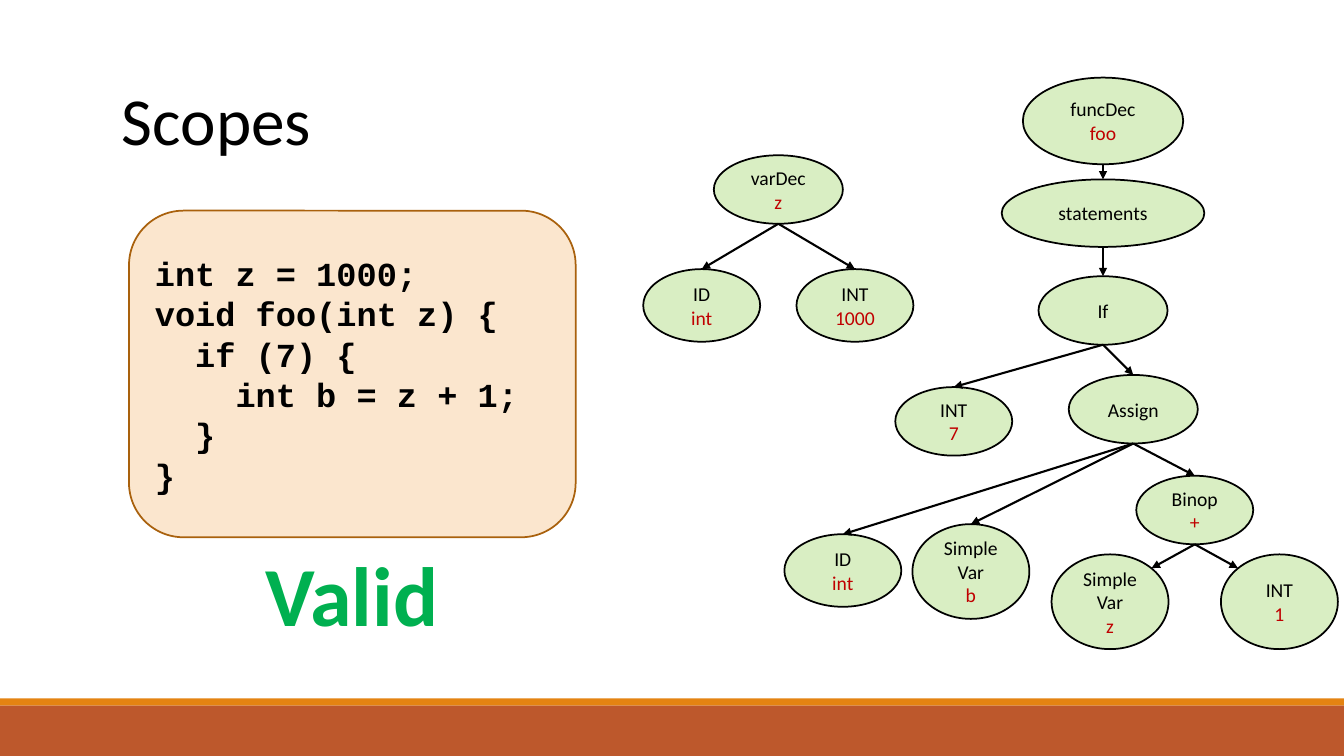
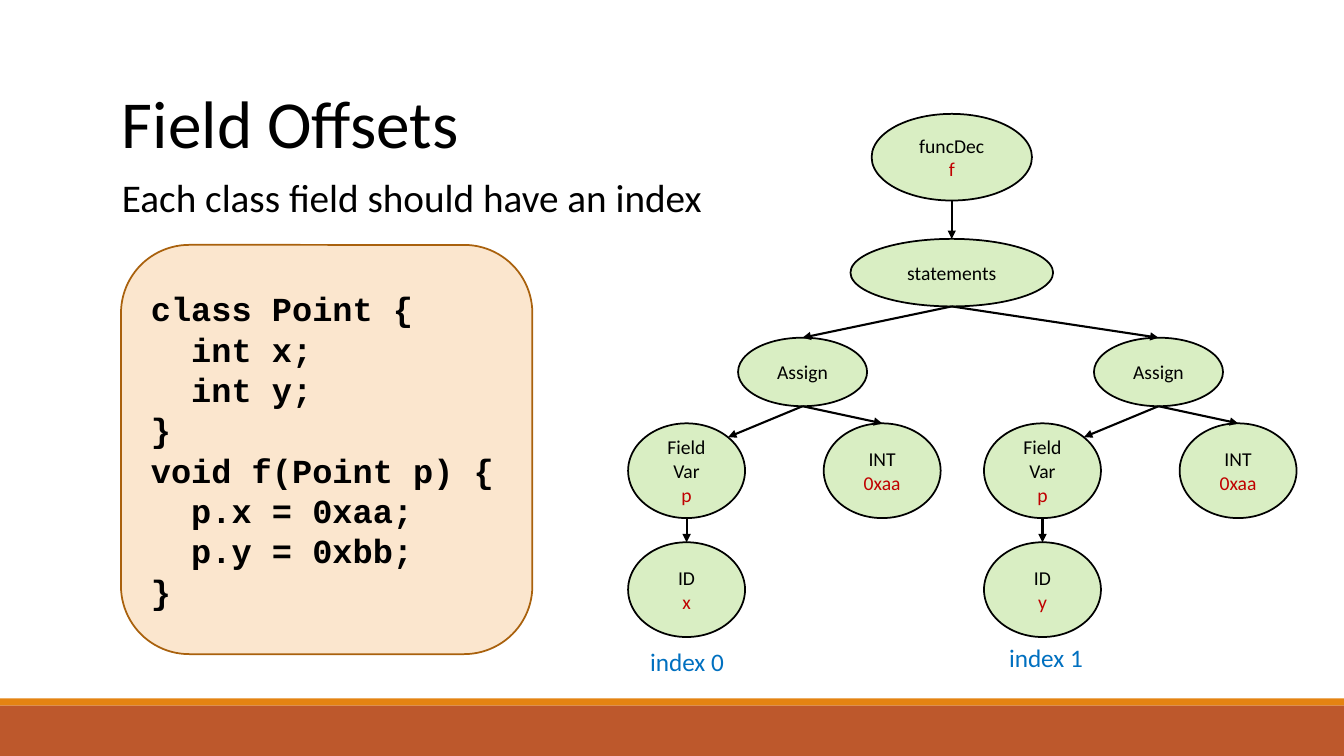
from dataclasses import dataclass

from lxml import etree
from pptx import Presentation
from pptx import util as u
from pptx.dml.color import RGBColor
from pptx.enum import shapes, text
from pptx.oxml.ns import qn

I = u.Inches
SHAPE = shapes.MSO_SHAPE
ALIGN = text.PP_ALIGN
ANCHOR = text.MSO_ANCHOR


@dataclass(frozen=True)
class Theme:
    ink: str = "000000"
    value: str = "C00000"
    node: str = "92D050"
    node_alpha: int = 34
    code_fill: str = "FBE6CE"
    code_line: str = "A9610D"
    valid: str = "00B050"
    index: str = "0070C0"
    band: str = "BD582C"
    stripe: str = "E48312"
    font: str = "Calibri"
    mono: str = "Courier New"
    title_pt: int = 48
    verdict_pt: int = 60
    body_pt: int = 28
    code_pt: int = 24
    index_pt: int = 18
    node_pt: int = 14
    outline_pt: float = 1.25
    arrow_pt: float = 1.5


T = Theme()

# Node sizes by kind: width, height
SIZES = {
    "root": (1.59, 0.86), "wide": (2.01, 0.67), "mid": (1.28, 0.68),
    "leaf": (1.16, 0.68), "type": (1.16, 0.72), "tall": (1.16, 0.94),
}
# Connection sites of an ellipse: offset from its centre, in half sizes
SITES = {0: (0, -1), 1: (-0.71, -0.71), 4: (0, 1), 7: (0.71, -0.71)}


# ---- helpers ----
def write(tf, lines, align=ALIGN.LEFT, anchor=ANCHOR.TOP, **fmt):
    """Write (text, colour) lines, one paragraph each."""
    frame = {"word_wrap": True, "auto_size": text.MSO_AUTO_SIZE.NONE,
             "vertical_anchor": anchor}
    for name, val in frame.items():
        setattr(tf, name, val)
    for i, (line, color) in enumerate(lines):
        p = tf.add_paragraph() if i else tf.paragraphs[0]
        p.alignment = align
        p.space_before = u.Pt(0)
        r = p.add_run()
        r.text = line
        for name, val in {"name": T.font, **fmt}.items():
            setattr(r.font, name, u.Pt(val) if name == "size" else val)
        r.font.color.rgb = RGBColor.from_string(color)


def shape(s, kind, box, fill, line=None):
    sp = s.shapes.add_shape(kind, *map(I, box))
    sp.shadow.inherit = False
    sp.fill.solid()
    sp.fill.fore_color.rgb = RGBColor.from_string(fill)
    if line:
        sp.line.color.rgb = RGBColor.from_string(line)
        sp.line.width = u.Pt(T.outline_pt)
    else:
        sp.line.fill.background()
    return sp


def place(sp, box):
    for name, val in zip(("left", "top", "width", "height"), box):
        setattr(sp, name, I(val))


def label(s, box, line, color, **fmt):
    tf = s.shapes.add_textbox(*map(I, box)).text_frame
    write(tf, [(line, color)], **fmt)


# ---- regions ----
def bands(prs, s):
    """Draw the bottom bands and move them to the master, at the back."""
    tree = prs.slide_master.shapes._spTree
    for box, fill in (((0, 7, 13.33, 0.5), T.band),
                      ((0, 6.93, 13.33, 0.07), T.stripe)):
        sp = shape(s, SHAPE.RECTANGLE, box, fill)
        tree.insert(2, sp._element)


def title(s, box, line):
    place(s.shapes.title, box)
    write(s.shapes.title.text_frame, [(line, T.ink)], size=T.title_pt)


def body(s, box, line):
    sp = s.placeholders[1]
    place(sp, box)
    pPr = sp.text_frame.paragraphs[0]._p.get_or_add_pPr()
    for name in ("marL", "indent"):
        pPr.set(name, "0")
    etree.SubElement(pPr, qn("a:buNone"))
    write(sp.text_frame, [(line, T.ink)], size=T.body_pt)


def code(s, box, source):
    sp = shape(s, SHAPE.ROUNDED_RECTANGLE, box, T.code_fill, T.code_line)
    write(sp.text_frame, [(line, T.ink) for line in source.split("\n")],
          anchor=ANCHOR.MIDDLE, name=T.mono, size=T.code_pt, bold=True)


def node(s, kind, cx, top, words, value):
    w, h = SIZES[kind]
    sp = shape(s, SHAPE.OVAL, (cx - w / 2, top, w, h), T.node, T.ink)
    clr = sp._element.spPr.find(qn("a:solidFill"))[0]
    etree.SubElement(clr, qn("a:alpha"), val=str(T.node_alpha * 1000))
    lines = [(word, T.ink) for word in words.split()]
    if value:
        lines.append((value, T.value))
    write(sp.text_frame, lines, ALIGN.CENTER, ANCHOR.MIDDLE, size=T.node_pt)
    return sp


def site_xy(sp, site):
    dx, dy = SITES[site]
    return (int(sp.left + sp.width * (1 + dx) / 2),
            int(sp.top + sp.height * (1 + dy) / 2))


def arrow(s, parent, child, site):
    """Arrow from the foot of the parent to a site of the child."""
    cn = s.shapes.add_connector(shapes.MSO_CONNECTOR.STRAIGHT,
                                *site_xy(parent, 4), *site_xy(child, site))
    cn.line.color.rgb = RGBColor.from_string(T.ink)
    cn.line.width = u.Pt(T.arrow_pt)
    etree.SubElement(cn.line._get_or_add_ln(), qn("a:tailEnd"), type="triangle")
    etree.SubElement(cn._element.spPr, qn("a:effectLst"))
    ends = cn._element.find(".//" + qn("p:cNvCxnSpPr"))
    for tag, sp, idx in (("a:stCxn", parent, 4), ("a:endCxn", child, site)):
        etree.SubElement(ends, qn(tag), id=str(sp.shape_id), idx=str(idx))


def tree(s, origin, nodes):
    """Nodes: key, parent key, entry site, kind, centre x, top, words, value."""
    x, y = origin
    drawn = {}
    for key, parent, site, kind, cx, top, words, value in nodes:
        drawn[key] = node(s, kind, x + cx, y + top, words, value)
        if parent:
            arrow(s, drawn[parent], drawn[key], site)


# ---- slides ----
def scopes(s):
    title(s, (1.11, 0.73, 11.09, 0.91), "Scopes")
    label(s, (1.96, 5.33, 3.06, 1.11), "Valid", T.valid,
          align=ALIGN.CENTER, size=T.verdict_pt, bold=True)
    code(s, (1.28, 2.09, 4.43, 3.24), """int z = 1000;
void foo(int z) {
  if (7) {
    int b = z + 1;
  }
}""")
    tree(s, (6.38, 0.77), [
        # Global variable
        ("var", None, 0, "mid", 1.34, 0.77, "varDec", "z"),
        ("var_id", "var", 0, "type", 0.58, 1.9, "ID", "int"),
        ("var_int", "var", 0, "type", 2.1, 1.9, "INT", "1000"),
        # Function
        ("func", None, 0, "root", 4.56, 0, "funcDec", "foo"),
        ("stmts", "func", 0, "wide", 4.56, 1.01, "statements", ""),
        ("if", "stmts", 0, "mid", 4.56, 1.97, "If", ""),
        ("cond", "if", 0, "leaf", 3.08, 3.07, "INT", "7"),
        ("assign", "if", 0, "mid", 4.86, 2.95, "Assign", ""),
        ("type", "assign", 0, "type", 1.98, 4.53, "ID", "int"),
        ("b", "assign", 0, "tall", 3.25, 4.43, "Simple Var", "b"),
        ("binop", "assign", 0, "leaf", 5.47, 3.95, "Binop", "+"),
        ("z", "binop", 7, "tall", 4.63, 4.73, "Simple Var", "z"),
        ("one", "binop", 1, "tall", 6.31, 4.73, "INT", "1"),
    ])


def field_offsets(s):
    title(s, (1.11, 0.76, 11.09, 0.91), "Field Offsets")
    body(s, (1.11, 1.67, 11.09, 0.57), "Each class field should have an index")
    code(s, (1.2, 2.43, 4.08, 4.06), """class Point {
  int x;
  int y;
}
void f(Point p) {
  p.x = 0xaa;
  p.y = 0xbb;
}""")
    x, y = 6.23, 1.13
    nodes = [("func", None, 0, "root", 3.21, 0, "funcDec", "f"),
             ("stmts", "func", 0, "wide", 3.21, 1.24, "statements", "")]
    # One assignment branch for each field
    for i, (field, label_top) in enumerate((("x", 5.23), ("y", 5.19))):
        dx = i * 3.53
        assign, var = "assign" + field, "var" + field
        nodes += [
            (assign, "stmts", 0, "mid", 1.73 + dx, 2.22, "Assign", ""),
            (var, assign, 7, "tall", 0.58 + dx, 3.07, "Field Var", "p"),
            ("int" + field, assign, 0, "tall", 2.52 + dx, 3.07, "INT", "0xaa"),
            ("id" + field, var, 0, "tall", 0.58 + dx, 4.25, "ID", field),
        ]
        label(s, (x + 0.12 + i * 3.56, y + label_top, 1.04, 0.4),
              f"index {i}", T.index, size=T.index_pt)
    tree(s, (x, y), nodes)


def main():
    prs = Presentation()
    prs.slide_width, prs.slide_height = I(13.33), I(7.5)
    title_only, title_body = prs.slide_layouts[5], prs.slide_layouts[1]
    s = prs.slides.add_slide(title_only)
    bands(prs, s)
    scopes(s)
    field_offsets(prs.slides.add_slide(title_body))
    prs.save("out.pptx")


if __name__ == "__main__":
    main()
